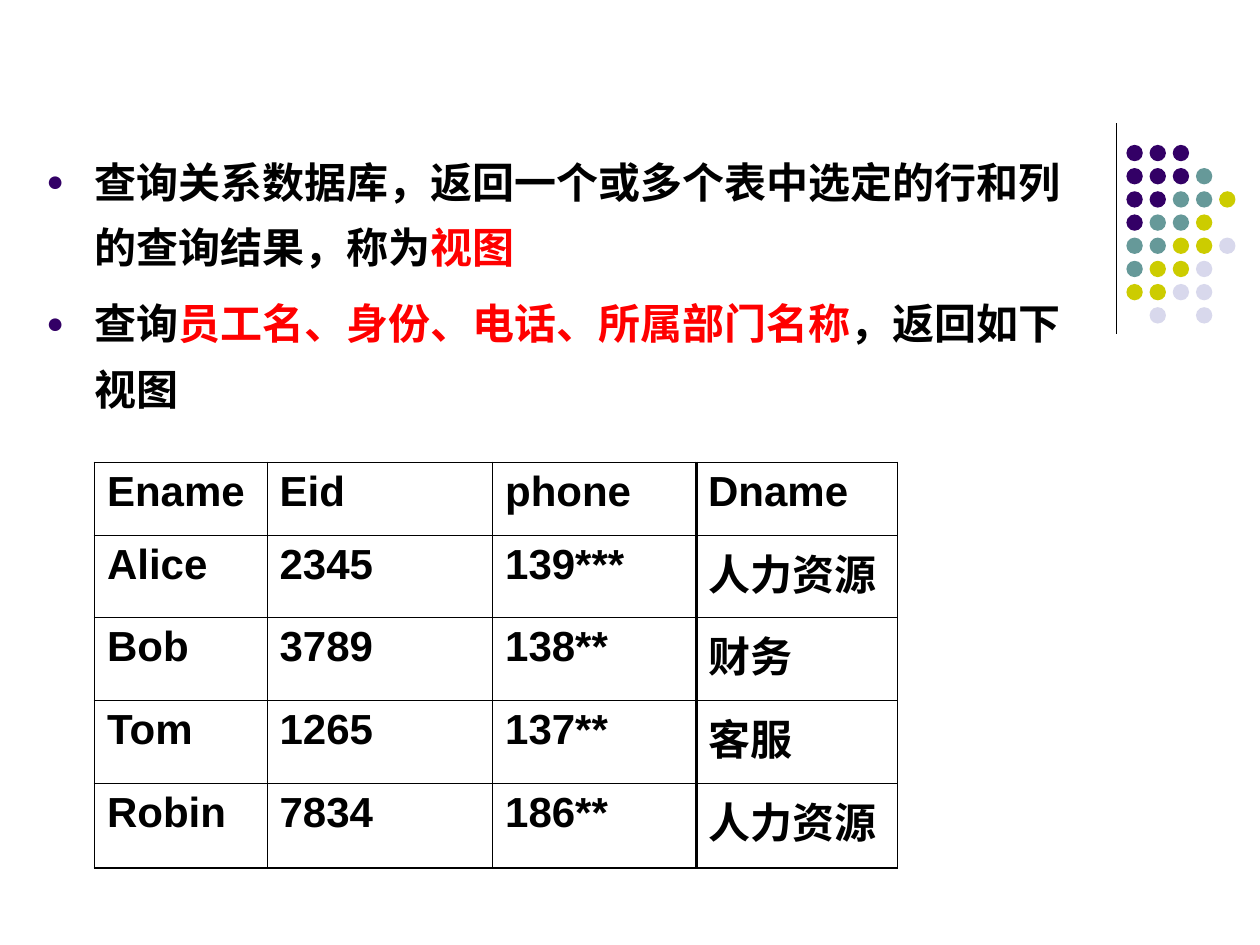
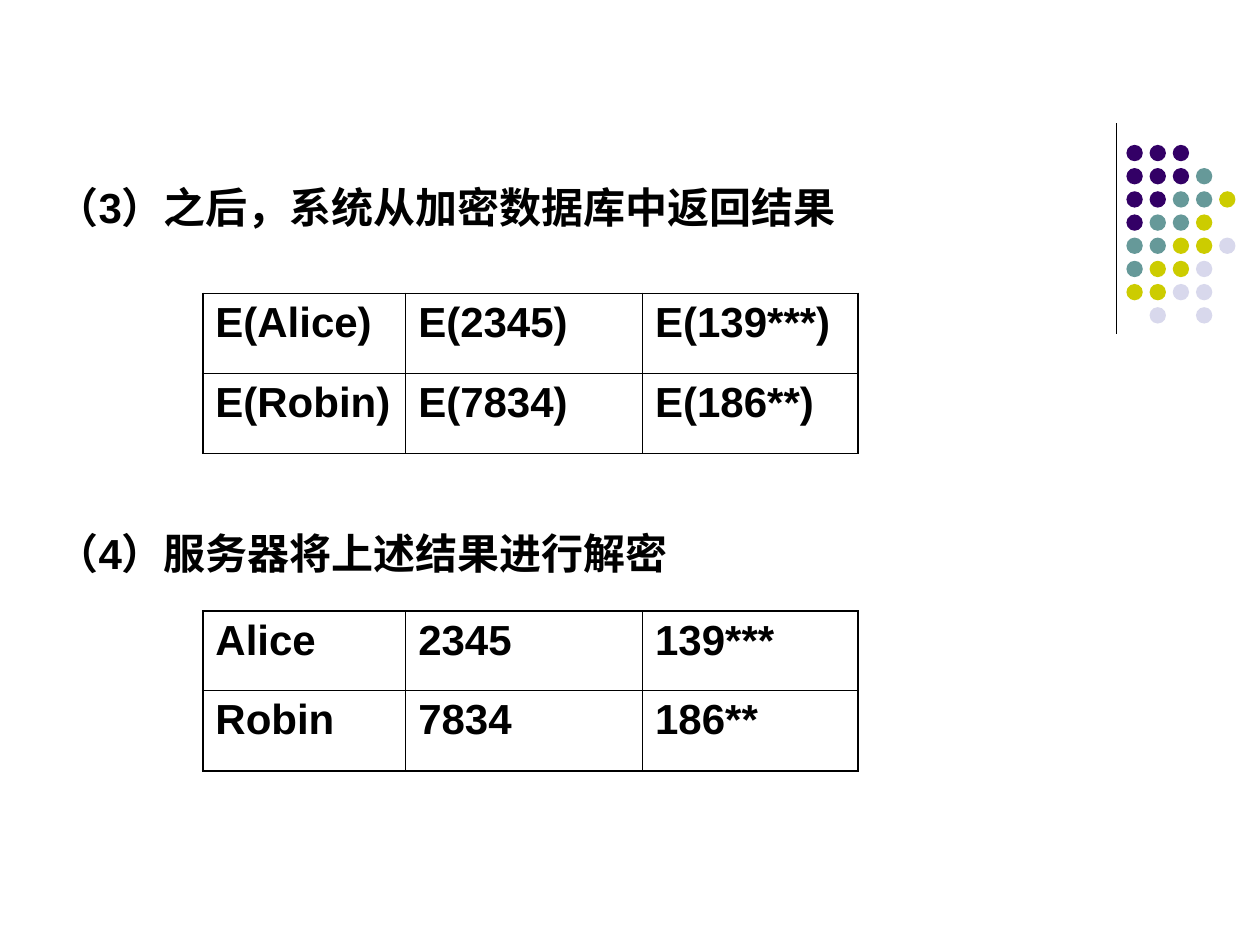
from dataclasses import dataclass

from lxml.etree import SubElement
from pptx import Presentation
from pptx.dml.color import RGBColor
from pptx.enum.lang import MSO_LANGUAGE_ID
from pptx.enum.shapes import MSO_CONNECTOR, MSO_SHAPE
from pptx.oxml.ns import qn
from pptx.util import Inches, Pt


@dataclass(frozen=True)
class Theme:
    font: str = "Arial"
    size: float = 24
    ink: str = "000000"
    accent: str = "FF0000"
    purple: str = "330066"
    teal: str = "669999"
    olive: str = "CCCC00"
    lilac: str = "D8D8EC"
    thick: float = 1.08
    thin: float = 0.45


THEME = Theme()
COLS, ROWS = 100, 75
DOT_ROWS = ("PPP", "PPPT", "PPTTY", "PTTY", "TTYYL", "TYYL", "YYLL", " L L")


def add_text(p, text, color=THEME.ink, size=THEME.size, bold=True):
    r = p.add_run()
    r.text = text
    f = r.font
    f.name, f.size, f.bold = THEME.font, Pt(size), bold
    f.color.rgb = RGBColor.from_string(color)
    f.language_id = MSO_LANGUAGE_ID.SIMPLIFIED_CHINESE


class Deck:
    """Holds the theme and the current slide; lengths are grid columns and rows."""

    def __init__(self, theme):
        self.theme = theme
        self.prs = Presentation()
        self.prs.slide_width, self.prs.slide_height = Inches(10), Inches(7.5)
        self.slide = None

    def x(self, cols):
        return round(self.prs.slide_width * cols / COLS)

    def y(self, rows):
        return round(self.prs.slide_height * rows / ROWS)

    def box(self, left, top, width, height):
        return self.x(left), self.y(top), self.x(width), self.y(height)

    def new_slide(self):
        self.slide = self.prs.slides.add_slide(self.prs.slide_layouts[6])
        self.rule(88.6, 9.8, 26.5)
        self.dots(89.4, 11.5, pitch=1.84, size=1.3)

    def rule(self, col, top, bottom):
        ln = self.slide.shapes.add_connector(
            MSO_CONNECTOR.STRAIGHT, self.x(col), self.y(top), self.x(col), self.y(bottom))
        ln.line.color.rgb = RGBColor.from_string(self.theme.ink)
        ln.line.width = Pt(0.75)
        SubElement(ln._element.spPr, qn("a:effectLst"))

    def dots(self, left, top, pitch, size):
        t = self.theme
        colors = {"P": t.purple, "T": t.teal, "Y": t.olive, "L": t.lilac}
        for i, row in enumerate(DOT_ROWS):
            for j, key in enumerate(row):
                if key not in colors:
                    continue
                sp = self.slide.shapes.add_shape(
                    MSO_SHAPE.OVAL, *self.box(left + j * pitch, top + i * pitch, size, size))
                sp.shadow.inherit = False
                sp.fill.solid()
                sp.fill.fore_color.rgb = RGBColor.from_string(colors[key])
                sp.line.fill.background()

    def text(self, left, top, width, height, paragraphs, before, spacing=1.0, bullet=False):
        """Each paragraph is a list of (text, color) runs."""
        tf = self.slide.shapes.add_textbox(*self.box(left, top, width, height)).text_frame
        tf.word_wrap = True
        for i, runs in enumerate(paragraphs):
            p = tf.add_paragraph() if i else tf.paragraphs[0]
            p.space_before, p.line_spacing = Pt(before), spacing
            if bullet:
                self.bullet(p)
            for text, color in runs:
                add_text(p, text, color=color)

    def bullet(self, p):
        pPr = p._p.get_or_add_pPr()
        indent = Inches(0.38)
        pPr.set("marL", str(indent))
        pPr.set("indent", str(-indent))
        color = SubElement(pPr, qn("a:buClr"))
        SubElement(color, qn("a:srgbClr"), val=self.theme.purple)
        SubElement(pPr, qn("a:buSzPct"), val="70000")
        SubElement(pPr, qn("a:buFont"), typeface=self.theme.font)
        SubElement(pPr, qn("a:buChar"), char="●")

    def table(self, left, top, widths, heights, rows, thick_sides="LRTB"):
        """Rule every cell thinly, and the named outer sides thickly."""
        frame = self.slide.shapes.add_table(
            len(rows), len(widths), *self.box(left, top, sum(widths), sum(heights)))
        tbl = frame.table
        tbl.first_row = tbl.horz_banding = False
        for column, width in zip(tbl.columns, widths):
            column.width = self.x(width)
        for row, height in zip(tbl.rows, heights):
            row.height = self.y(height)
        for i, values in enumerate(rows):
            for j, value in enumerate(values):
                cell = tbl.cell(i, j)
                outer = {"L": j == 0, "R": j == len(widths) - 1,
                         "T": i == 0, "B": i == len(rows) - 1}
                for side, is_outer in outer.items():
                    self.border(cell, side, is_outer and side in thick_sides)
                cell.fill.background()
                p = cell.text_frame.paragraphs[0]
                p.space_before = Pt(6)
                add_text(p, value)

    def border(self, cell, side, thick):
        width = Pt(self.theme.thick if thick else self.theme.thin)
        ln = SubElement(cell._tc.get_or_add_tcPr(), qn(f"a:ln{side}"), w=str(width))
        fill = SubElement(ln, qn("a:solidFill"))
        SubElement(fill, qn("a:srgbClr"), val=self.theme.ink)


def view_slide(deck):
    t = deck.theme
    deck.new_slide()
    # Definition of a view
    deck.text(2.7, 10.7, 83.5, 30.5, [
        [("查询关系数据库，返回一个或多个表中选定的行和列的查询结果，称为", t.ink),
         ("视图", t.accent)],
        [("查询", t.ink), ("员工名、身份、电话、所属部门名称", t.accent),
         ("，返回如下视图", t.ink)],
    ], before=6, spacing=1.3, bullet=True)
    # Employee columns, with the joined department column beside them
    top, heights = 36.7, (5.8, 6.5, 6.6, 6.6, 6.7)
    employees = [("Ename", "Eid", "phone"), ("Alice", "2345", "139***"),
                 ("Bob", "3789", "138**"), ("Tom", "1265", "137**"),
                 ("Robin", "7834", "186**")]
    departments = ["Dname", "人力资源", "财务", "客服", "人力资源"]
    deck.table(7.5, top, (13.7, 17.9, 16.2), heights, employees)
    deck.table(55.2, top, (16,), heights, [(d,) for d in departments], thick_sides="TB")


def decrypt_slide(deck):
    deck.new_slide()
    plain = [("Alice", "2345", "139***"), ("Robin", "7834", "186**")]
    encrypted = [[f"E({value})" for value in row] for row in plain]
    # Each step: heading, its top and height, then its result table
    steps = [("（3）之后，系统从加密数据库中返回结果", 13.9, 11.1, 23.3, encrypted),
             ("（4）服务器将上述结果进行解密", 41.4, 17.2, 48.5, plain)]
    for heading, top, height, table_top, rows in steps:
        deck.text(3.5, top, 77.9, height, [[(heading, deck.theme.ink)]], before=15)
        deck.table(16.1, table_top, (16.1, 18.8, 17.1), (6.3, 6.4), rows)


def main():
    deck = Deck(THEME)
    view_slide(deck)
    decrypt_slide(deck)
    deck.prs.save("out.pptx")


if __name__ == "__main__":
    main()
